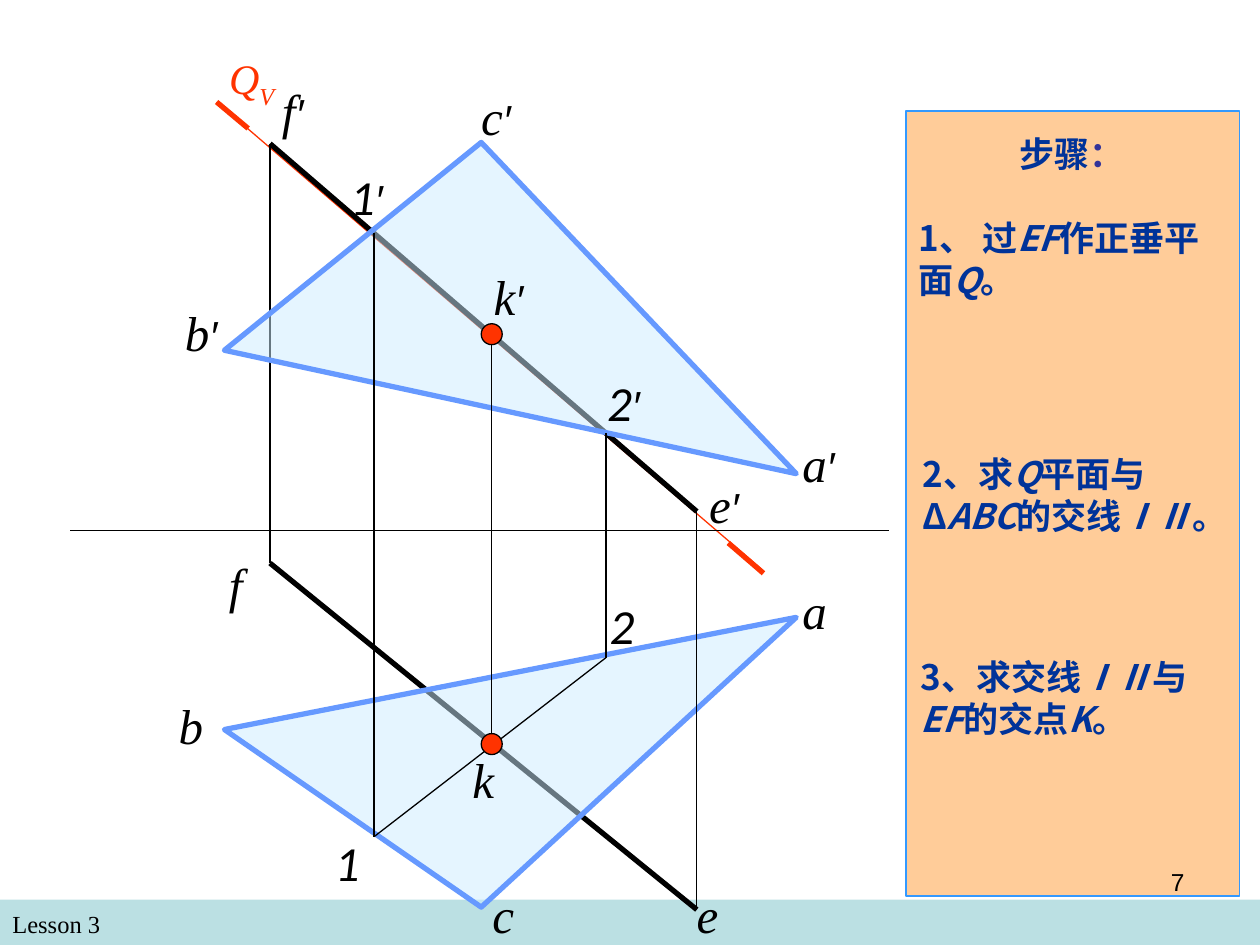
from lxml import etree
from pptx import Presentation
from pptx.dml.color import RGBColor
from pptx.enum.shapes import MSO_CONNECTOR, MSO_SHAPE
from pptx.enum.text import MSO_ANCHOR, MSO_AUTO_SIZE, PP_ALIGN
from pptx.oxml.ns import qn
from pptx.util import Pt

ROMAN, SANS, DIGIT, HAN = "Times New Roman", "Arial", "Calibri", "Noto Sans CJK SC"
BLACK, RED, NAVY = "000000", "FF3300", "003399"
THIN, THICK = 0.75, 3

presentation = Presentation()
presentation.slide_width, presentation.slide_height = Pt(720), Pt(540)
slide = presentation.slides.add_slide(presentation.slide_layouts[1])
shapes = slide.shapes
rgb = RGBColor.from_string


def draw_line(start, end, width, color=BLACK):
    line = shapes.add_connector(MSO_CONNECTOR.STRAIGHT, *map(Pt, start + end))
    line.line.width = Pt(width)
    line.line.color.rgb = rgb(color)
    etree.SubElement(line._element.spPr, qn("a:effectLst"))


def add_run(paragraph, text, size, face, color=BLACK, **formats):
    run = paragraph.add_run()
    run.text = text
    run.font.color.rgb = rgb(color)
    for name, value in {"size": Pt(size), "name": face, **formats}.items():
        setattr(run.font, name, value)
    etree.SubElement(run._r.get_or_add_rPr(), qn("a:ea")).set("typeface", face)
    return run


panel = shapes.add_shape(MSO_SHAPE.RECTANGLE, Pt(517.7), Pt(63.4), Pt(190.8), Pt(448.6))
panel.fill.solid()
panel.fill.fore_color.rgb = rgb("FFCC99")
panel.line.color.rgb = rgb("3399FF")
panel.line.width = Pt(THIN)
footer_band = shapes.add_shape(MSO_SHAPE.RECTANGLE, 0, Pt(514), Pt(720), Pt(26))
footer_band.fill.solid()
footer_band.fill.fore_color.rgb = rgb("BBE0E3")
footer_band.line.fill.background()
for background in (panel, footer_band):
    background.shadow.inherit = False
    shapes._spTree.insert(2, background._element)

f_front, e_front, f_top, e_top = (154.3, 82.1), (398.2, 292.3), (154.3, 321.8), (398.2, 519.8)
a_front, b_front, c_front = (455, 270.7), (128.2, 200.2), (275, 81.4)
a_top, b_top, c_top = (455, 352.8), (128.2, 416.9), (275, 518.4)
one_front, one_top = (213.8, 133.2), (213.8, 478.1)
two_front, two_top = (346.3, 247.7), (346.3, 375.8)
k_front, k_top = (281, 191), (281, 425.2)

draw_line((123.8, 58.3), (436.3, 326.2), THIN, RED)
draw_line((123.8, 58.3), (141.8, 73.4), THICK, RED)
draw_line((416.2, 310.3), (436.3, 327.6), THICK, RED)
draw_line(f_front, e_front, THICK)
draw_line(f_front, f_top, THIN)
draw_line(f_top, e_top, THICK)

for corners in ((b_front, c_front, a_front), (c_top, b_top, a_top)):
    first, *others = [tuple(map(Pt, corner)) for corner in corners]
    outline = shapes.build_freeform(*first, scale=1.0)
    outline.add_line_segments(others, close=True)
    triangle = outline.convert_to_shape()
    triangle.shadow.inherit = False
    triangle.fill.solid()
    triangle.fill.fore_color.rgb = rgb("CCECFF")
    tint = triangle._element.spPr.find(qn("a:solidFill")).find(qn("a:srgbClr"))
    etree.SubElement(tint, qn("a:alpha")).set("val", "50000")
    triangle.line.color.rgb = rgb("6699FF")
    triangle.line.width = Pt(THICK)

for start, end in (
    (e_front, e_top),
    ((40.3, 303.1), (508.3, 303.1)),
    (one_top, two_top),
    (k_front, k_top),
    (two_front, two_top),
    (one_front, one_top),
):
    draw_line(start, end, THIN)

for x, y in (k_front, k_top):
    intersection = shapes.add_shape(MSO_SHAPE.OVAL, Pt(x - 6), Pt(y - 6), Pt(12), Pt(12))
    intersection.shadow.inherit = False
    intersection.fill.solid()
    intersection.fill.fore_color.rgb = rgb(RED)
    intersection.line.color.rgb = rgb(BLACK)
    intersection.line.width = Pt(THIN)

point, prime = (28, ROMAN, BLACK, True), ("′", 24, SANS, BLACK, True)
number = (28, DIGIT, BLACK, True)
for left, top, width, height, runs in (
    (154, 42.5, 82.8, 41, [("f", *point), prime]),
    (398.2, 267.8, 57.6, 41, [("e", *point), prime]),
    (391, 501.8, 40.3, 41, [("e", *point)]),
    (123.8, 313.2, 40.3, 41, [("f", *point)]),
    (95, 393.8, 79.2, 41, [("b", *point)]),
    (451.4, 244, 91.4, 41, [("a", *point), prime]),
    (451.4, 328.3, 49.7, 41, [("a", *point)]),
    (274.3, 501.8, 49.7, 41, [("c", *point)]),
    (98.6, 169.2, 84.2, 41, [("b", *point), prime]),
    (267.8, 46, 51.8, 41, [("c", *point), prime]),
    (193, 91.4, 54, 41, [("1", *number), prime]),
    (339.8, 209.5, 54, 41, [("2", *number), prime]),
    (341.3, 337, 54, 41, [("2", *number)]),
    (184.3, 472.3, 54, 41, [("1", *number)]),
    (262.8, 424.8, 40.3, 41, [("k", *point)]),
    (275, 149, 40.3, 85, [("k", *point), prime]),
    (123.8, 26.6, 54, 40.3, [("Q", 24, ROMAN, RED, True), ("V", 24, ROMAN, RED, True)]),
    (0, 516.2, 347.8, 24.5, [("Lesson 3", 14, ROMAN, BLACK, False)]),
    (516.2, 491.8, 167.8, 37.4, [("7", 14, SANS, BLACK, False)]),
):
    label = shapes.add_textbox(Pt(left), Pt(top), Pt(width), Pt(height)).text_frame
    label.word_wrap = True
    for text, size, face, color, italic in runs:
        run = add_run(label.paragraphs[0], text, size, face, color, italic=italic)
        if text == "V":
            run._r.get_or_add_rPr().set("baseline", "-25000")
    if runs[0][0] == "7":
        label.paragraphs[0].alignment = PP_ALIGN.RIGHT

heading, steps = shapes.title, slide.placeholders[1]
for holder, top, height in ((heading, 72, 32), (steps, 120, 340)):
    holder.left, holder.top, holder.width, holder.height = map(Pt, (517.7, top, 190.1, height))
    frame_formats = {
        "word_wrap": True,
        "auto_size": MSO_AUTO_SIZE.NONE,
        "vertical_anchor": MSO_ANCHOR.TOP,
    }
    for name, value in frame_formats.items():
        setattr(holder.text_frame, name, value)

title_line = heading.text_frame.paragraphs[0]
title_line.alignment = PP_ALIGN.CENTER
title_line.line_spacing = Pt(24)
add_run(title_line, "步骤", 20, HAN, NAVY, bold=True)
add_run(title_line, "：", 20, HAN, "333399", bold=True)

for index, (indent, gap, pieces) in enumerate((
    (0, 0, ["1、 过", "EF", "作正垂平面", "Q", "。"]),
    (2.2, 87, ["2、求", "Q", "平面与Δ", "ABC", "的交线", "ⅠⅡ", "。"]),
    (1.4, 68, ["3、求交线", "ⅠⅡ", "与", "EF", "的交点", "K", "。"]),
)):
    frame = steps.text_frame
    step = frame.add_paragraph() if index else frame.paragraphs[0]
    properties = step._p.get_or_add_pPr()
    properties.set("marL", str(Pt(indent)))
    properties.set("indent", "0")
    etree.SubElement(properties, qn("a:buNone"))
    step.alignment = PP_ALIGN.LEFT
    step.line_spacing = Pt(24)
    step.space_before = Pt(gap)
    for position, piece in enumerate(pieces):
        add_run(step, piece, 20, HAN, NAVY, bold=True, italic=position % 2 == 1)

presentation.save("out.pptx")
